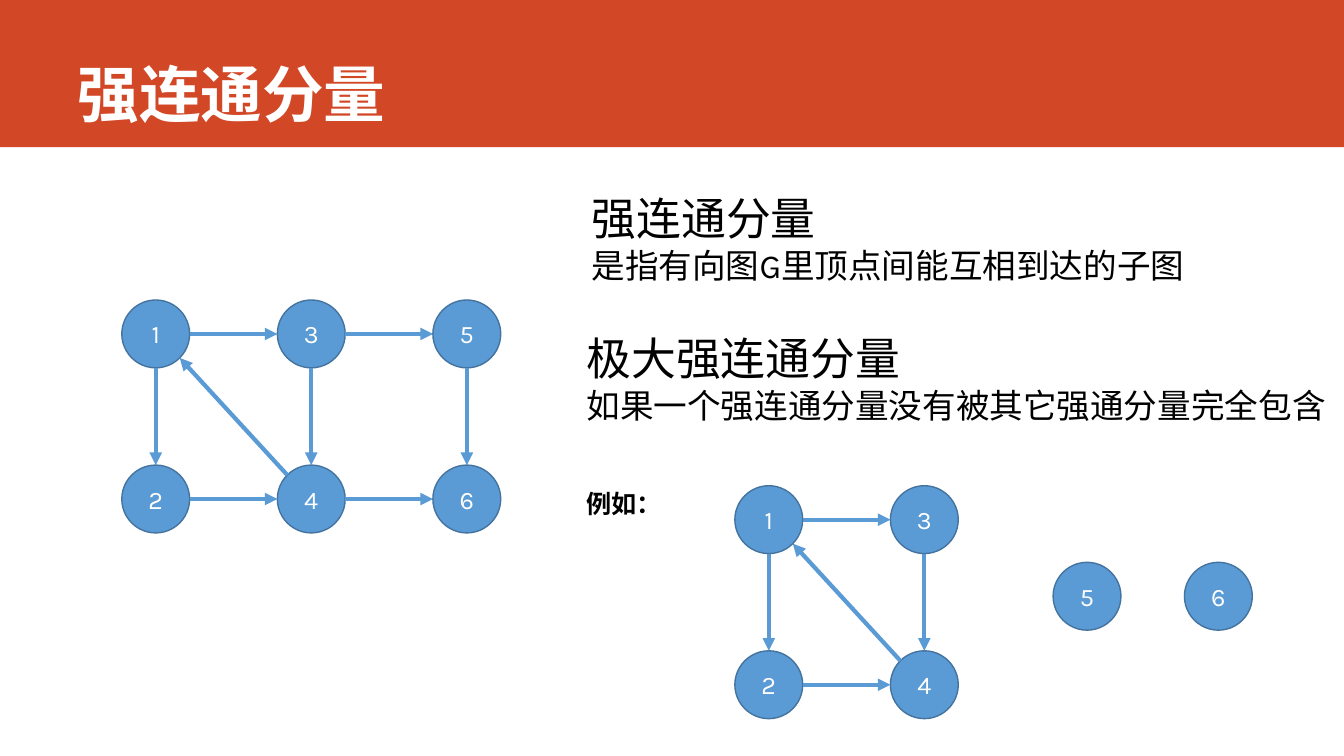
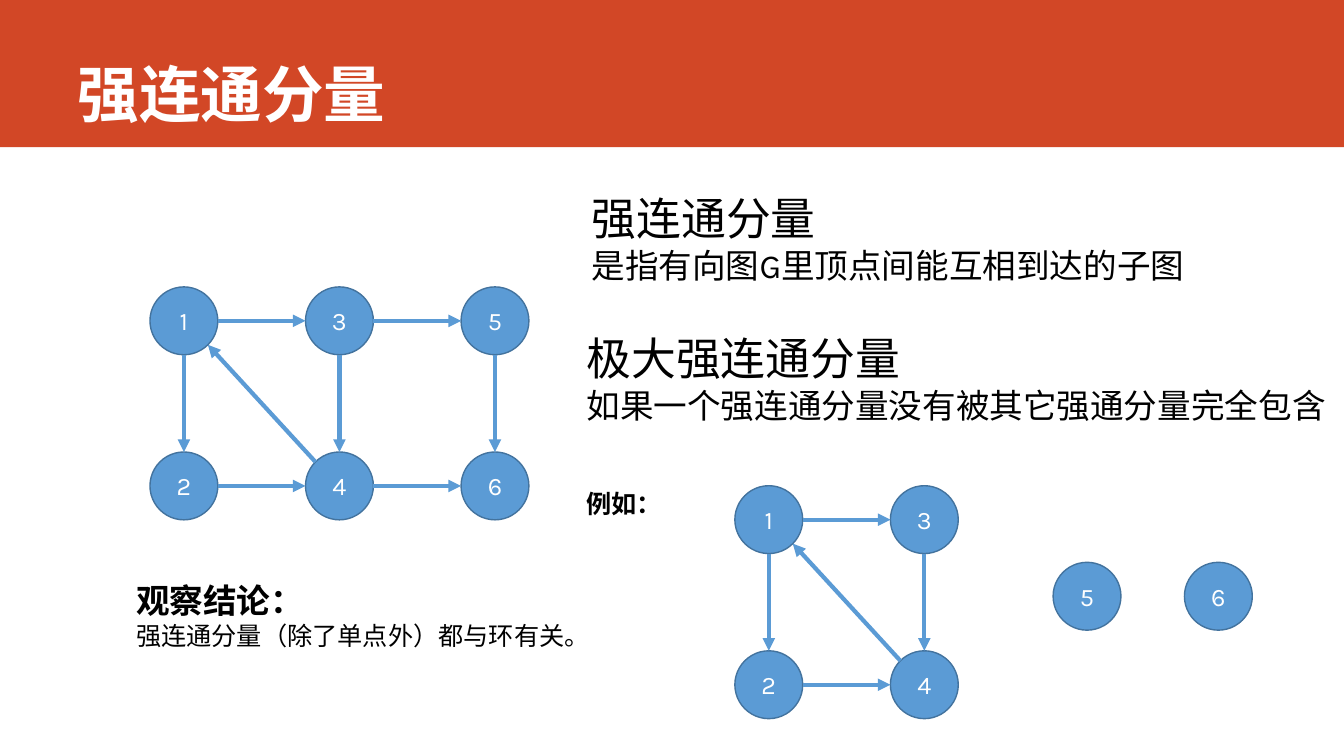
from dataclasses import dataclass
from math import cos, radians, sin

from lxml.etree import SubElement
from pptx import Presentation
from pptx.dml.color import RGBColor
from pptx.enum.shapes import MSO_CONNECTOR, MSO_SHAPE
from pptx.enum.text import MSO_ANCHOR, MSO_AUTO_SIZE, PP_ALIGN
from pptx.oxml import parse_xml
from pptx.oxml.ns import nsdecls, qn
from pptx.util import Cm, Pt


@dataclass(frozen=True)
class Theme:
    band: str = "D24726"
    node: str = "5B9BD5"
    outline: str = "43739E"
    text: str = "000000"
    light: str = "FFFFFF"
    title_font: str = "Noto Sans CJK SC"
    font: str = "Karla"
    title: int = 44
    term: int = 32
    lead: int = 24
    small: int = 18


THEME = Theme()
WIDTH, HEIGHT = 33.87, 19.05
BAND_HEIGHT = 3.71
DIAMETER = 1.71
COLUMN_STEP, ROW_STEP = 3.92, 4.16

# Node label -> (column, row)
SQUARE_CELLS = {1: (0, 0), 3: (1, 0), 2: (0, 1), 4: (1, 1)}
FULL_CELLS = SQUARE_CELLS | {5: (2, 0), 6: (2, 1)}
SQUARE_EDGES = [(1, 2), (3, 4), (1, 3), (2, 4), (4, 1)]
FULL_EDGES = SQUARE_EDGES + [(5, 6), (3, 5), (4, 6)]
# Column and row step of an edge -> ellipse connection sites at both ends
EDGE_SITES = {(0, 1): (4, 0), (1, 0): (6, 2), (-1, -1): (1, 5)}


def rgb(value):
    return RGBColor.from_string(value)


def set_font(font, size, color, bold=False):
    font.name = THEME.font
    font.size = Pt(size)
    font.bold = bold
    font.color.rgb = rgb(color)


def style_layout(layout, s):
    """Give the layout its band and title style; s only lends its shape factory."""
    band = s.shapes.add_shape(MSO_SHAPE.RECTANGLE, 0, 0, Cm(WIDTH), Cm(BAND_HEIGHT))
    band.shadow.inherit = False
    band.fill.solid()
    band.fill.fore_color.rgb = rgb(THEME.band)
    band.line.fill.background()
    layout.shapes.element.insert(2, band.element)

    title = layout.placeholders[0]
    title.left, title.top = Cm(1.7), Cm(0)
    title.width, title.height = Cm(29.85), Cm(3.4)
    title.text_frame.vertical_anchor = MSO_ANCHOR.BOTTOM
    title.element.find(".//" + qn("a:lstStyle")).append(parse_xml(
        f'<a:lvl1pPr {nsdecls("a")} algn="l"><a:defRPr sz="{THEME.title * 100}" b="1">'
        f'<a:solidFill><a:srgbClr val="{THEME.light}"/></a:solidFill>'
        f'<a:latin typeface="{THEME.title_font}"/></a:defRPr></a:lvl1pPr>'))


def add_text(s, left, top, width, height, lines):
    """Each line is (text, size, bold, line spacing)."""
    tf = s.shapes.add_textbox(Cm(left), Cm(top), Cm(width), Cm(height)).text_frame
    tf.word_wrap = True
    tf.auto_size = MSO_AUTO_SIZE.SHAPE_TO_FIT_TEXT
    for i, (text, size, bold, spacing) in enumerate(lines):
        p = tf.add_paragraph() if i else tf.paragraphs[0]
        p.text = text
        p.line_spacing = spacing
        set_font(p.font, size, THEME.text, bold)


def add_definition(s, left, top, width, term, meaning):
    add_text(s, left, top, width, 3.33,
             [(term, THEME.term, False, 1.5), (meaning, THEME.lead, False, None)])


def add_node(s, left, top, label):
    sp = s.shapes.add_shape(MSO_SHAPE.OVAL, Cm(left), Cm(top), Cm(DIAMETER), Cm(DIAMETER))
    sp.shadow.inherit = False
    sp.fill.solid()
    sp.fill.fore_color.rgb = rgb(THEME.node)
    sp.line.color.rgb = rgb(THEME.outline)
    sp.line.width = Pt(1)
    sp.text_frame.vertical_anchor = MSO_ANCHOR.MIDDLE
    p = sp.text_frame.paragraphs[0]
    p.text = str(label)
    p.alignment = PP_ALIGN.CENTER
    set_font(p.font, THEME.small, THEME.light)
    return sp


def site_point(node, site):
    """Sites run counter-clockwise from the top in steps of 45 degrees."""
    angle = radians(90 + 45 * site)
    radius = node.width / 2
    return (round(node.left + radius * (1 + cos(angle))),
            round(node.top + radius * (1 - sin(angle))))


def add_arrow(s, start, end, sites):
    line = s.shapes.add_connector(MSO_CONNECTOR.STRAIGHT,
                                  *site_point(start, sites[0]), *site_point(end, sites[1]))
    line.line.color.rgb = rgb(THEME.node)
    line.line.width = Pt(3)
    SubElement(line.line._get_or_add_ln(), qn("a:tailEnd"), type="triangle")
    SubElement(line.element.spPr, qn("a:effectLst"))
    links = line.element.find(".//" + qn("p:cNvCxnSpPr"))
    for tag, node, site in zip(("a:stCxn", "a:endCxn"), (start, end), sites):
        SubElement(links, qn(tag), id=str(node.shape_id), idx=str(site))


def add_graph(s, left, top, cells, edges):
    nodes = {label: add_node(s, left + column * COLUMN_STEP, top + row * ROW_STEP, label)
             for label, (column, row) in cells.items()}
    for a, b in edges:
        step = (cells[b][0] - cells[a][0], cells[b][1] - cells[a][1])
        add_arrow(s, nodes[a], nodes[b], EDGE_SITES[step])


def fill_slide(s, graph_left, graph_top):
    s.shapes.title.text = "强连通分量"
    add_graph(s, graph_left, graph_top, FULL_CELLS, FULL_EDGES)
    add_definition(s, 14.66, 4.01, 15.65, "强连通分量",
                   "是指有向图G里顶点间能互相到达的子图")
    add_definition(s, 14.53, 7.54, 19.33, "极大强连通分量",
                   "如果一个强连通分量没有被其它强通分量完全包含")
    add_text(s, 14.53, 12.19, 2.77, 1.02, [("例如：", THEME.small, True, None)])
    add_graph(s, 18.52, 12.24, SQUARE_CELLS, SQUARE_EDGES)
    for label, left in ((5, 26.54), (6, 29.85)):
        add_node(s, left, 14.17, label)


def main():
    prs = Presentation()
    prs.slide_width, prs.slide_height = Cm(WIDTH), Cm(HEIGHT)
    layout = prs.slide_layouts.get_by_name("Title Only")
    definition, conclusion = [prs.slides.add_slide(layout) for _ in range(2)]
    style_layout(layout, definition)

    fill_slide(definition, 3.07, 7.56)
    fill_slide(conclusion, 3.78, 7.23)
    add_text(conclusion, 3.18, 14.48, 11.81, 2.06,
             [("观察结论：", THEME.lead, True, None),
              ("强连通分量（除了单点外）都与环有关。", THEME.small, False, None)])
    prs.save("out.pptx")


if __name__ == "__main__":
    main()
